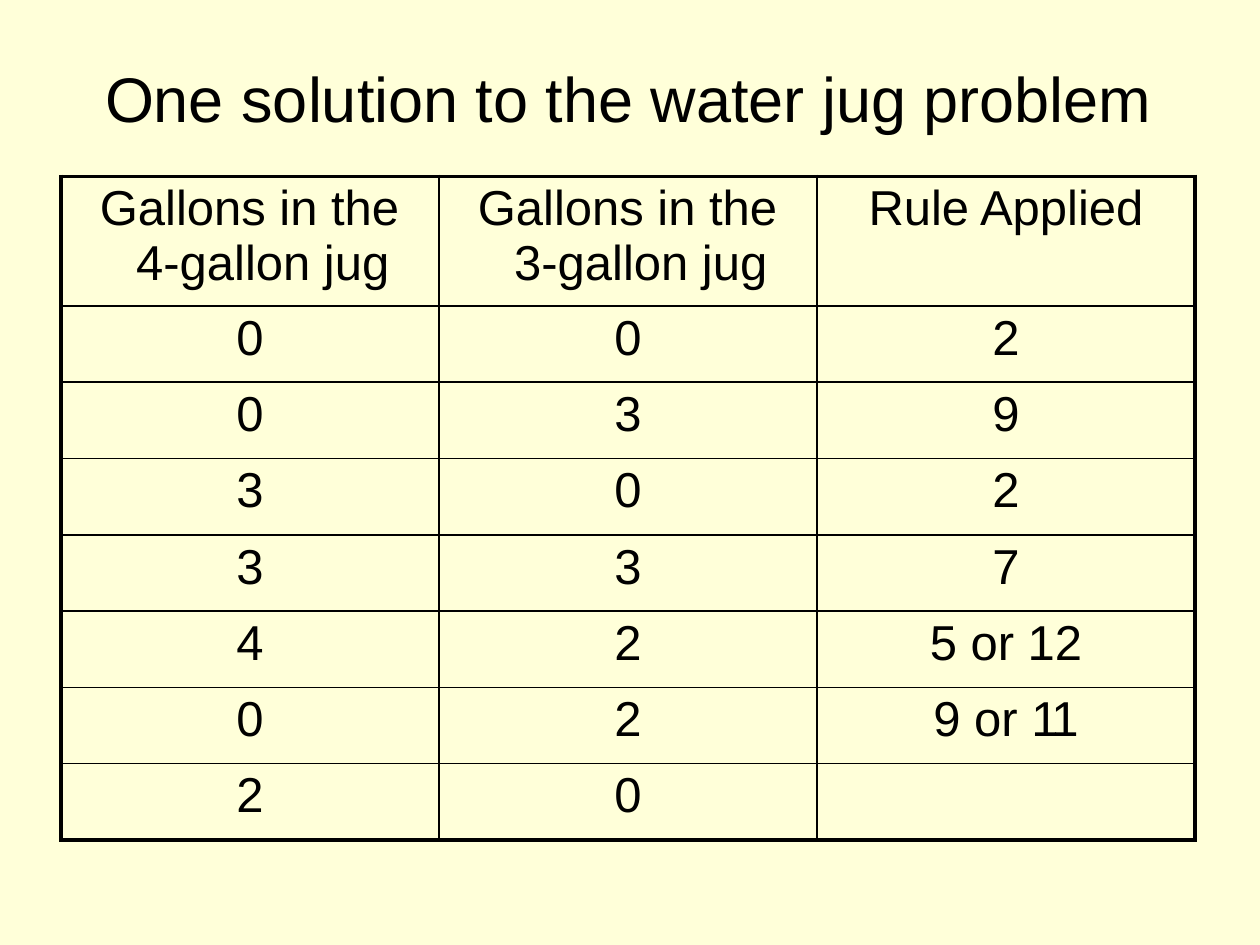
"""Build a slide that tabulates one solution to the water jug problem."""
from dataclasses import dataclass

from pptx import Presentation
from pptx.dml.color import RGBColor
from pptx.enum.text import MSO_ANCHOR, MSO_AUTO_SIZE, PP_ALIGN
from pptx.oxml.ns import qn
from pptx.util import Pt
from lxml import etree

LEFT, MID = PP_ALIGN.LEFT, PP_ALIGN.CENTER
TOP, FIXED = MSO_ANCHOR.TOP, MSO_AUTO_SIZE.NONE
HEX = {"ink": "000000", "page": "FFFFD9"}
THICK, THIN = 2.25, 1
PLACE = {"left": Pt(60), "top": Pt(33), "width": Pt(600), "height": Pt(45.5)}
FRAME = {"margin_left": 0, "margin_top": Pt(0.8), "margin_right": 0,
         "margin_bottom": 0, "vertical_anchor": TOP, "auto_size": FIXED,
         "word_wrap": True}
CELL = {"margin_left": 0, "margin_top": Pt(2.9), "margin_right": 0,
        "margin_bottom": 0, "vertical_anchor": TOP}
PLAIN = {"first_row": False, "horz_banding": False}
ROWS = [
    ("Gallons in the 4-gallon jug", "Gallons in the 3-gallon jug", "Rule Applied"),
    ("0", "0", "2"),
    ("0", "3", "9"),
    ("3", "0", "2"),
    ("3", "3", "7"),
    ("4", "2", "5 or 12"),
    ("0", "2", "9 or 11"),
    ("2", "0", ""),
]


@dataclass
class Style:
    """Size, alignment and spacing of a paragraph, in points."""
    size: float
    align: PP_ALIGN
    before: float
    margin: float = 0
    indent: float = 0


HEAD = Style(36, LEFT, 1)
LABEL = Style(28, LEFT, 2.9, 43, -20.7)
VALUE = Style(28, MID, 2.9)


def apply(item, values: dict) -> None:
    """Set each named value on the item."""
    for name, value in values.items():
        setattr(item, name, value)


def write(frame, text: str, style: Style) -> None:
    """Write one styled paragraph, with the pair 11 set tight."""
    para = frame.paragraphs[0]
    apply(para, {"alignment": style.align, "space_before": Pt(style.before)})
    props = para._p.get_or_add_pPr()
    props.set("marL", str(Pt(style.margin)))
    props.set("indent", str(Pt(style.indent)))
    apply(para.font, {"size": Pt(style.size), "name": "Arial"})
    stem, pair, _ = text.partition("11")
    for part in filter(None, (stem, pair)):
        run = para.add_run()
        run.text = part
        apply(run.font, {"size": Pt(style.size), "name": "Arial"})
        run.font.color.rgb = RGBColor.from_string(HEX["ink"])
        if part == pair:
            run._r.get_or_add_rPr().set("spc", "-200")


def edge(cell, side: str, width: float) -> None:
    """Draw one border of a cell."""
    line = etree.SubElement(cell._tc.get_or_add_tcPr(), qn(f"a:ln{side}"), w=str(Pt(width)))
    fill = etree.SubElement(line, qn("a:solidFill"))
    etree.SubElement(fill, qn("a:srgbClr"), val=HEX["ink"])


def draw(slide, rows: list) -> None:
    """Draw the table of jug states, with a thick outer frame."""
    high, wide = len(rows), len(rows[0])
    table = slide.shapes.add_table(
        high, wide, Pt(34.8), Pt(100.8), Pt(648), Pt(379.2)).table
    apply(table, PLAIN)
    for i, row in enumerate(rows):
        table.rows[i].height = Pt(43.6 if i else 74)
        for j, text in enumerate(row):
            cell = table.cell(i, j)
            apply(cell, CELL)
            outer = {"L": j == 0, "R": j == wide - 1, "T": i == 0, "B": i == high - 1}
            for side, thick in outer.items():
                edge(cell, side, THICK if thick else THIN)
            cell.fill.solid()
            cell.fill.fore_color.rgb = RGBColor.from_string(HEX["page"])
            label = i == 0 and j < wide - 1
            write(cell.text_frame, text, LABEL if label else VALUE)


def main() -> None:
    """Build and save the slide."""
    deck = Presentation()
    apply(deck, {"slide_width": Pt(720), "slide_height": Pt(540)})
    slide = deck.slides.add_slide(deck.slide_layouts[5])
    back = slide.background.fill
    back.solid()
    back.fore_color.rgb = RGBColor.from_string(HEX["page"])
    title = slide.shapes.title
    apply(title, PLACE)
    apply(title.text_frame, FRAME)
    write(title.text_frame, "One solution to the water jug problem", HEAD)
    draw(slide, ROWS)
    deck.save("out.pptx")


if __name__ == "__main__":
    main()
